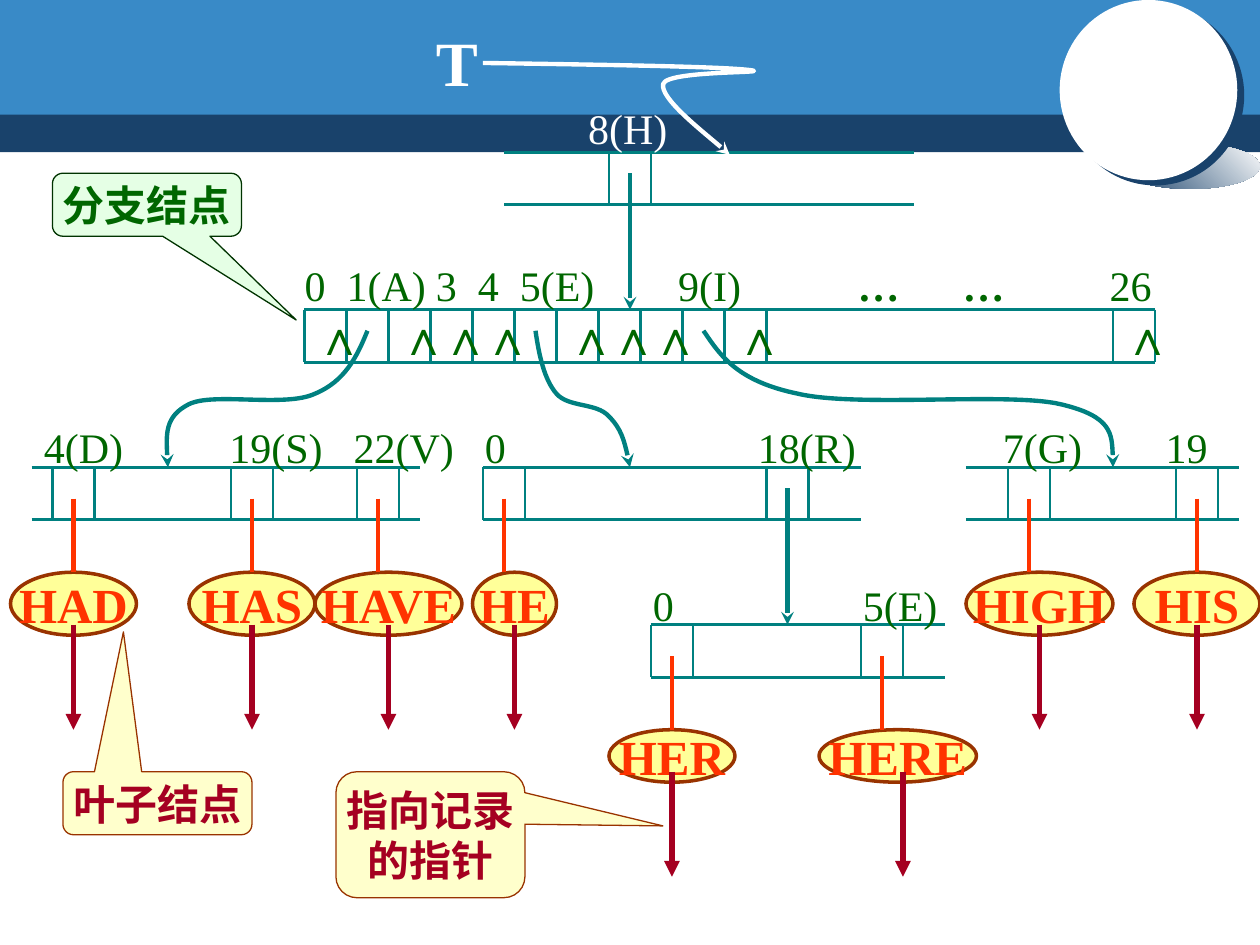
from lxml import etree
from pptx import Presentation
from pptx import util as u
from pptx.dml.color import RGBColor
from pptx.enum import shapes, text
from pptx.oxml import ns

Pt = u.Pt
WHITE = RGBColor(0xFF, 0xFF, 0xFF)
NAVY = RGBColor(0x19, 0x42, 0x6B)
BLUE = RGBColor(0x39, 0x8A, 0xC7)
TEAL = RGBColor(0x00, 0x80, 0x80)
GREEN = RGBColor(0x00, 0x66, 0x00)
DARK_GREEN = RGBColor(0x00, 0x33, 0x00)
PALE_GREEN = RGBColor(0xCC, 0xFF, 0xCC)
BROWN = RGBColor(0x99, 0x33, 0x00)
YELLOW = RGBColor(0xFF, 0xFF, 0x99)
CREAM = RGBColor(0xFF, 0xFF, 0xCC)
ORANGE = RGBColor(0xFF, 0x33, 0x00)
CRIMSON = RGBColor(0xA5, 0x00, 0x21)

CELL = 24
ROW = 30
NODES = [
    (288, 522, 87, [348]),
    (174, 660, 177, [*range(174, 438, CELL), 636]),
    (18, 240, 267, [30, 132, 204]),
    (552, 708, 267, [576, 672]),
    (276, 492, 267, [276, 438]),
    (372, 540, 357, [372, 492]),
]
EMPTY_CELLS = [174, 222, 246, 270, 318, 342, 366, 414, 636]
LABEL_ROWS = [
    (167, 145, 504, [(174, "0"), (198, "1(A)"), (249, "3"), (273, "4"), (297, "5(E)"),
                     (387.5, "9(I)"), (490, "…"), (550, "…"), (634, "26")]),
    (18, 237.5, 690, [(25, "4(D)"), (131, "19(S)"), (202, "22(V)"), (277, "0"),
                      (433, "18(R)"), (573, "7(G)"), (666, "19")]),
    (366, 327.5, 180, [(373, "0"), (493, "5(E)")]),
]
LEAVES = [
    ("HAD", 6, 327, 72, 36, 42, 42),
    ("HAS", 108, 327, 72, 36, 144, 144),
    ("HAVE", 180, 327, 84, 36, 216, 222),
    ("HE", 270, 327, 48, 36, 288, 294),
    ("HER", 348, 417, 72, 30, 384, 384),
    ("HERE", 468, 417, 90, 30, 504, 516),
    ("HIGH", 552, 327, 84, 36, 588, 594),
    ("HIS", 648, 327, 72, 36, 684, 684),
]
CURVES = [
    (WHITE, [(276, 36), (343, 37), (410, 38), (428, 40), (445, 42), (381, 40),
             (379, 48), (377, 56), (410, 82), (417, 88.5)]),
    (TEAL, [(210, 189), (204, 204), (197, 218), (180, 225), (163, 233), (122, 224),
            (108, 231), (94, 238), (95, 253), (96, 267)]),
    (TEAL, [(306, 189), (308, 203), (311, 217), (318, 225), (325, 233), (341, 230),
            (348, 238), (355, 245), (358, 256), (360, 267)]),
    (TEAL, [(402, 189), (412, 204), (422, 218), (456, 225), (490, 233), (576, 224),
            (606, 231), (636, 238), (636, 253), (636, 267)]),
]
CALLOUTS = [
    (["叶子结点"], (36, 441, 108, 36), (-0.18, -2.72), CREAM, BROWN, CRIMSON),
    (["分支结点"], (30, 99, 108, 36), (0.79, 1.83), PALE_GREEN, DARK_GREEN, GREEN),
    (["指向记录", "的指针"], (192, 441, 108, 72), (1.23, -0.07), CREAM, BROWN, CRIMSON),
]


def add_xml(parent, tag, **attributes):
    return etree.SubElement(parent, ns.qn(tag), attributes)


def add_arrowhead(item, head):
    add_xml(item.element.spPr.find(ns.qn("a:ln")), "a:tailEnd", type=head)


def add_span(para, words, size, color, bold=False):
    span = para.add_run()
    span.text = words
    values = {"name": "Times New Roman", "size": Pt(size), "bold": bold}
    for name, value in values.items():
        setattr(span.font, name, value)
    span.font.color.rgb = color


def add_text(page, words, left, top, width, height, size, color, bold=False):
    box = page.shapes.add_textbox(*map(Pt, (left, top, width, height)))
    box.text_frame.word_wrap = False
    add_span(box.text_frame.paragraphs[0], words, size, color, bold)


def add_label_row(page, left, top, width, labels):
    box = page.shapes.add_textbox(*map(Pt, (left, top, width, 36)))
    box.text_frame.word_wrap = True
    para = box.text_frame.paragraphs[0]
    start = labels[0][0]
    stops = add_xml(para._p.get_or_add_pPr(), "a:tabLst")
    for index, (place, words) in enumerate(labels):
        if index:
            add_xml(stops, "a:tab", pos=str(Pt(place - start)), algn="l")
        add_span(para, "\t" + words if index else words, 24, GREEN, words == "…")


def add_line(page, start, end, color, width, head=None):
    line = page.shapes.add_connector(shapes.MSO_CONNECTOR.STRAIGHT, *map(Pt, start + end))
    line.line.color.rgb = color
    line.line.width = Pt(width)
    if head:
        add_arrowhead(line, head)
    add_xml(line.element.spPr, "a:effectLst")


def add_shape(page, kind, place, fill, border=None, width=1):
    shape = page.shapes.add_shape(kind, *map(Pt, place))
    shape.shadow.inherit = False
    shape.fill.solid()
    shape.fill.fore_color.rgb = fill
    if border is None:
        shape.line.fill.background()
    else:
        shape.line.color.rgb = border
        shape.line.width = Pt(width)
    return shape


def write_centered(shape, lines, size, color):
    frame = shape.text_frame
    frame.word_wrap = False
    frame.vertical_anchor = text.MSO_ANCHOR.MIDDLE
    for index, words in enumerate(lines):
        para = frame.add_paragraph() if index else frame.paragraphs[0]
        para.alignment = text.PP_ALIGN.CENTER
        add_span(para, words, size, color, True)


def add_curve(page, color, points):
    start, *rest = [(Pt(x), Pt(y)) for x, y in points]
    builder = page.shapes.build_freeform(*start)
    builder.add_line_segments(rest, close=False)
    curve = builder.convert_to_shape()
    curve.shadow.inherit = False
    curve.fill.background()
    curve.line.color.rgb = color
    curve.line.width = Pt(2.5)
    add_arrowhead(curve, "stealth")
    route = next(curve.element.iter(ns.qn("a:path")))
    segments = route.findall(ns.qn("a:lnTo"))
    for index in range(0, len(segments), 3):
        bend = add_xml(route, "a:cubicBezTo")
        for segment in segments[index:index + 3]:
            bend.append(segment[0])
            route.remove(segment)


def add_node(page, left, right, top, cells):
    for y in (top + ROW, top):
        add_line(page, (left, y), (right, y), TEAL, 1.5)
    for x in sorted({edge for cell in cells for edge in (cell, cell + CELL)}):
        add_line(page, (x, top), (x, top + ROW), TEAL, 1.5)


def add_leaf(page, word, left, top, width, height, stem, pointer):
    oval = add_shape(page, shapes.MSO_SHAPE.OVAL, (left, top, width, height), YELLOW, BROWN, 2)
    write_centered(oval, [word], 28, ORANGE)
    add_line(page, (stem, top - 42), (stem, top), ORANGE, 2.5)
    start = top + height - 6
    add_line(page, (pointer, start), (pointer, start + 60), CRIMSON, 3, "triangle")


def add_callout(page, lines, place, tip, fill, border, color):
    callout = add_shape(page, shapes.MSO_SHAPE.ROUNDED_RECTANGULAR_CALLOUT,
                        place, fill, border, 0.75)
    callout.adjustments[0], callout.adjustments[1] = tip
    if fill == PALE_GREEN:
        tint = next(callout.element.spPr.iter(ns.qn("a:srgbClr")))
        add_xml(tint, "a:alpha", val="50000")
    write_centered(callout, lines, 24, color)


def add_banner(page):
    add_shape(page, shapes.MSO_SHAPE.RECTANGLE, (0, 62.5, 720, 24.5), NAVY)
    add_shape(page, shapes.MSO_SHAPE.RECTANGLE, (0, 0, 720, 65.5), BLUE)
    glow = add_shape(page, shapes.MSO_SHAPE.OVAL, (640, 82, 80, 26), NAVY)
    glow.fill.gradient()
    glow.fill.gradient_angle = 45
    for stop, color in zip(glow.fill.gradient_stops, (NAVY, WHITE)):
        stop.color.rgb = color
    disc = add_shape(page, shapes.MSO_SHAPE.OVAL, (605.5, 0, 101.5, 103), WHITE)
    effects = disc.element.spPr.find(ns.qn("a:effectLst"))
    shadow = add_xml(effects, "a:outerShdw", blurRad="0", dist=str(Pt(5)),
                     dir=str(37 * 60000), algn="ctr", rotWithShape="0")
    add_xml(shadow, "a:srgbClr", val=str(NAVY))


def main():
    deck = Presentation()
    deck.slide_width, deck.slide_height = Pt(720), Pt(540)
    page = deck.slides.add_slide(deck.slide_layouts[6])
    add_banner(page)
    for node in NODES:
        add_node(page, *node)
    for row in LABEL_ROWS:
        add_label_row(page, *row)
    add_text(page, "8(H)", 329, 55, 60, 36, 24, WHITE)
    add_text(page, "T", 242, 10, 40, 50, 36, WHITE, True)
    for x, y in ((360, 99), (450, 279)):
        add_line(page, (x, y), (x, y + 78), TEAL, 2.5, "stealth")
    for curve in CURVES:
        add_curve(page, *curve)
    for leaf in LEAVES:
        add_leaf(page, *leaf)
    for cell in EMPTY_CELLS:
        add_text(page, "∧", cell - 1, 171.5, 32, 41, 28, GREEN)
    for callout in CALLOUTS:
        add_callout(page, *callout)
    deck.save("out.pptx")


if __name__ == "__main__":
    main()
